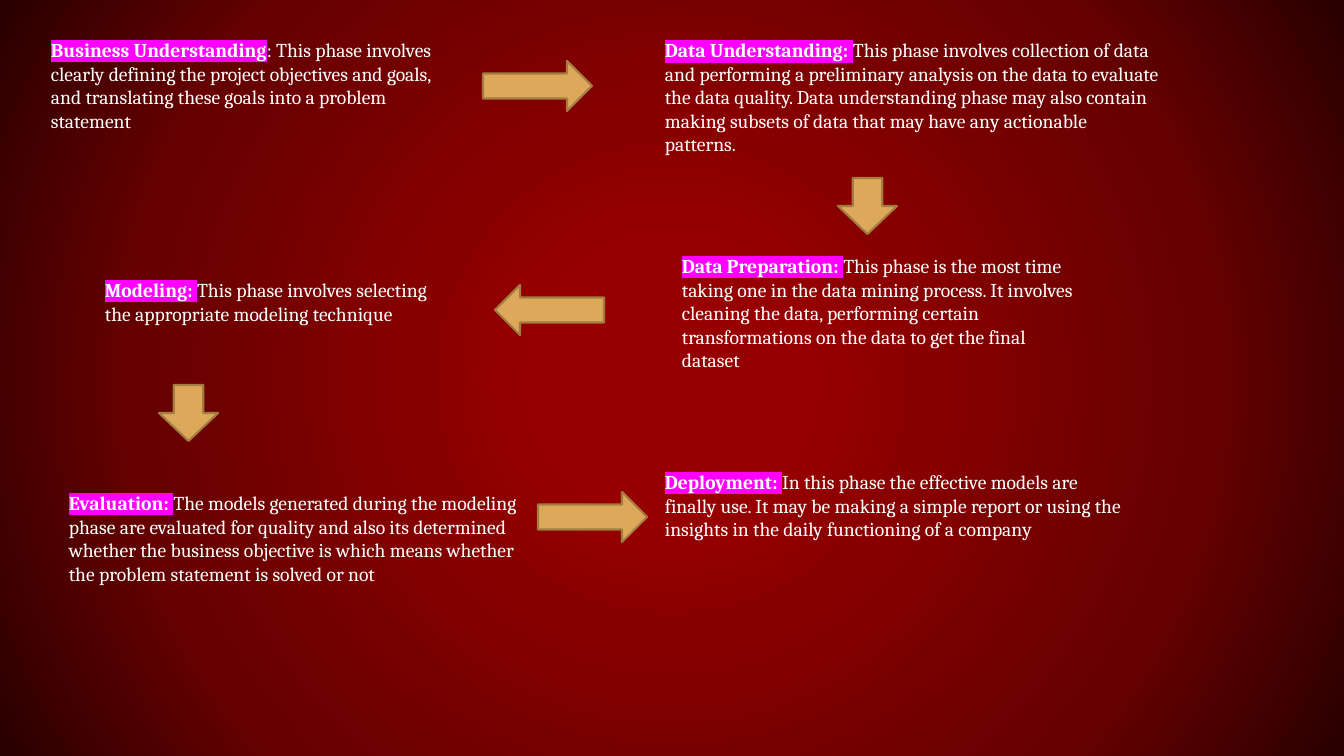
"""Build a slide showing the six phases of a data mining process."""
from lxml import etree
from pptx import Presentation
from pptx import util as u
from pptx.dml.color import RGBColor
from pptx.enum import shapes, text
from pptx.oxml import ns, parse_xml

PIXEL = 914400 / 100.8
WHITE = RGBColor(0xFF, 0xFF, 0xFF)
GOLD = RGBColor(0xDD, 0xA8, 0x59)
BROWN = RGBColor(0xA3, 0x7C, 0x42)
MAGENTA = RGBColor(0xFF, 0x00, 0xFF)
GLOW = [(17, RGBColor(0x96, 0, 0)), (71, RGBColor(0x65, 0, 0)),
        (100, RGBColor(0x29, 0, 0))]

PHASES = [
    ("Business Understanding",
     ": This phase involves clearly defining the project objectives and goals, "
     "and translating these goals into a problem statement",
     (41, 33, 411, 105)),
    ("Data Understanding: ",
     "This phase involves collection of data and performing a preliminary "
     "analysis on the data to evaluate the data quality. Data understanding "
     "phase may also contain making subsets of data that may have any "
     "actionable patterns.",
     (655, 33, 516, 129)),
    ("Data Preparation: ",
     "This phase is the most time taking one in the data mining process. It "
     "involves cleaning the data, performing certain transformations on the "
     "data to get the final dataset",
     (672, 249, 415, 129)),
    ("Modeling: ",
     "This phase involves selecting the appropriate modeling technique",
     (95, 273, 361, 82)),
    ("Evaluation: ",
     "The models generated during the modeling phase are evaluated for quality "
     "and also its determined whether the business objective is which means "
     "whether the problem statement is solved or not",
     (59, 486, 479, 129)),
    ("Deployment: ",
     "In this phase the effective models are finally use. It may be making a "
     "simple report or using the insights in the daily functioning of a company",
     (655, 465, 479, 105)),
]

RIGHT = shapes.MSO_SHAPE.RIGHT_ARROW
LEFT = shapes.MSO_SHAPE.LEFT_ARROW
DOWN = shapes.MSO_SHAPE.DOWN_ARROW
ARROW_SIZES = {RIGHT: (109, 50), LEFT: (109, 50), DOWN: (59, 56)}
ARROWS = [(RIGHT, 483, 61), (DOWN, 838, 178), (LEFT, 495, 285),
          (DOWN, 159, 385), (RIGHT, 538, 492)]


def emu(*pixels):
    return [round(pixel * PIXEL) for pixel in pixels]


def paint_background(slide):
    fill = slide.background.fill
    fill.gradient()
    stops = "".join(
        f'<a:gs pos="{percent * 1000}"><a:srgbClr val="{color}"/></a:gs>'
        for percent, color in GLOW)
    gradient = parse_xml(
        f'<a:gradFill {ns.nsdecls("a")} rotWithShape="1"><a:gsLst>{stops}</a:gsLst>'
        '<a:path path="circle"><a:fillToRect l="50000" t="50000" r="50000" '
        'b="50000"/></a:path></a:gradFill>')
    existing = next(slide.element.iter(ns.qn("a:gradFill")))
    existing.getparent().replace(existing, gradient)


def highlight(run):
    properties = run.font._element
    mark = etree.SubElement(properties, ns.qn("a:highlight"))
    etree.SubElement(mark, ns.qn("a:srgbClr"), val=str(MAGENTA))


def add_phase(slide, name, description, box):
    frame = slide.shapes.add_textbox(*emu(*box)).text_frame
    frame.word_wrap = True
    frame.auto_size = text.MSO_AUTO_SIZE.SHAPE_TO_FIT_TEXT
    paragraph = frame.paragraphs[0]
    paragraph.font.name = "Cambria"
    paragraph.font.size = u.Pt(14)
    paragraph.font.color.rgb = WHITE
    heading = paragraph.add_run()
    heading.text = name
    heading.font.bold = True
    highlight(heading)
    paragraph.add_run().text = description


def add_arrow(slide, kind, left, top):
    arrow = slide.shapes.add_shape(kind, *emu(left, top, *ARROW_SIZES[kind]))
    arrow.shadow.inherit = False
    arrow.fill.solid()
    arrow.fill.fore_color.rgb = GOLD
    arrow.line.color.rgb = BROWN
    arrow.line.width = u.Pt(1.5)


presentation = Presentation()
presentation.slide_width, presentation.slide_height = emu(1344, 756)
slide = presentation.slides.add_slide(presentation.slide_layouts[6])
paint_background(slide)
for phase in PHASES:
    add_phase(slide, *phase)
for arrow in ARROWS:
    add_arrow(slide, *arrow)
presentation.save("out.pptx")
